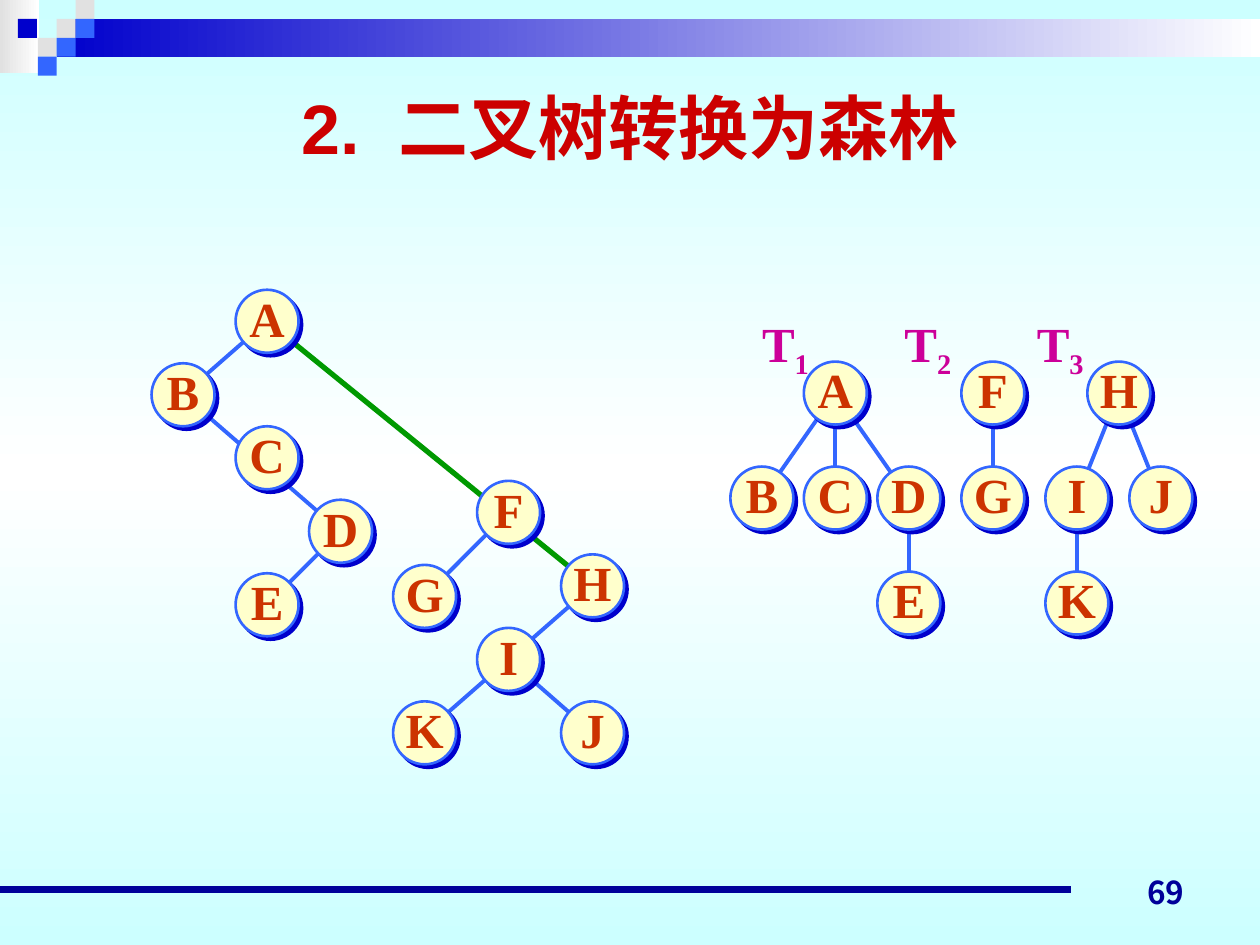
import copy
import math
import pptx
import pptx.util
import pptx.dml.color
import pptx.enum.shapes
import pptx.enum.text
import pptx.oxml.ns
import lxml.etree

Inches, Pt = pptx.util.Inches, pptx.util.Pt
Align, Anchor = pptx.enum.text.PP_ALIGN, pptx.enum.text.MSO_ANCHOR
Shape = pptx.enum.shapes.MSO_SHAPE
qn = pptx.oxml.ns.qn

WIDE, HIGH = 10, 7.5
CELL = 0.15        # side of a header square
UNIT = 1 / 12      # step of the tree grid
NODE = 6           # node width in grid steps
GAP = 2            # steps from a node's centre to a line's end

COLORS = {
    "sky": "CCFFFF", "white": "FFFFFF", "gray": "E1E1E1", "navy": "0000CC",
    "blue": "3366FF", "rule": "000099", "title": "CC0000", "node": "FFFFCC",
    "letter": "CC3300", "label": "CC0099", "green": "009900",
}
FONTS = {
    "title": {"name": "Arial", "size": Pt(40), "bold": True},
    "page": {"name": "Noto Sans CJK JP", "size": Pt(18), "bold": True},
    "letter": {"name": "Times New Roman", "size": Pt(28), "bold": True},
    "label": {"name": "Times New Roman", "size": Pt(28), "bold": True},
}

# Node centres as columns and rows from the root of each tree
BINARY = {
    "A": (0, 0), "B": (-8, 7), "C": (0, 13), "D": (7, 20), "E": (0, 27),
    "F": (23, 18.2), "G": (15, 26.2), "H": (31, 25.2), "I": (23, 32.2),
    "K": (15, 39.2), "J": (31, 39.2),
}
FOREST = {
    "A": (0, 0), "B": (-7, 10), "C": (0, 10), "D": (7, 10), "E": (7, 20),
    "F": (15, 0), "G": (15, 10), "H": (27, 0), "I": (23, 10), "J": (31, 10),
    "K": (23, 20),
}


def color(key):
    return pptx.dml.color.RGBColor.from_string(COLORS[key])


def style(font, key, ink):
    for name, value in FONTS[key].items():
        setattr(font, name, value)
    font.color.rgb = color(ink)


def frame(shape, **values):
    for name, value in values.items():
        setattr(shape.text_frame, name, value)


def fade(fill, keys, angle):
    fill.gradient()
    fill.gradient_angle = angle
    for stop, key, place in zip(fill.gradient_stops, keys, (0, 1)):
        stop.color.rgb = color(key)
        stop.position = place


def block(slide, kind, left, top, wide, high):
    shape = slide.shapes.add_shape(kind, *map(Inches, (left, top, wide, high)))
    shape.shadow.inherit = False
    return shape


def stroke(slide, start, end, key, width):
    line = slide.shapes.add_connector(
        pptx.enum.shapes.MSO_CONNECTOR.STRAIGHT, *map(Inches, (*start, *end)))
    line.line.color.rgb = color(key)
    line.line.width = Pt(width)
    lxml.etree.SubElement(line._element.spPr, qn("a:effectLst"))


def paint(slide):
    """Sky gradient behind the whole slide."""
    fill = slide.background.fill
    fade(fill, ("sky", "white"), 270)
    stops = slide._element.find(".//" + qn("a:gsLst"))
    stops.append(copy.deepcopy(stops[0]))
    for stop, place in zip(fill.gradient_stops, (0, 0.5, 1)):
        stop.position = place


def header(slide):
    """Faded bars and the checker squares at the top left."""
    bars = [((0, 0, 0.31, 0.58), "gray"),
            ((3 * CELL, CELL, WIDE - 3 * CELL, 2 * CELL), "navy")]
    for box, key in bars:
        bar = block(slide, Shape.RECTANGLE, *box)
        fade(bar.fill, (key, "white"), 0)
        bar.line.fill.background()
    squares = [(3, 1, "gray"), (4, 0, "gray"), (4, 1, "blue"), (2, 2, "gray"),
               (0.95, 1, "navy"), (3, 2, "blue"), (2, 3, "blue")]
    for col, row, key in squares:
        square = block(slide, Shape.RECTANGLE, col * CELL, row * CELL, CELL, CELL)
        square.fill.solid()
        square.fill.fore_color.rgb = color(key)
        square.line.fill.background()


def heading(slide, text, left, top, wide, high):
    title = slide.shapes.title
    box = {"left": left, "top": top, "width": wide, "height": high}
    for name, value in box.items():
        setattr(title, name, Inches(value))
    frame(title, text=text, vertical_anchor=Anchor.MIDDLE)
    para = title.text_frame.paragraphs[0]
    para.alignment = Align.CENTER
    style(para.font, "title", "title")


def footer(slide, page):
    """Rule and page number."""
    stroke(slide, (0, 7.06), (0.85 * WIDE, 7.06), "rule", 4.5)
    box = slide.shapes.add_textbox(*map(Inches, (7.17, 6.78, 2.33, 0.5)))
    frame(box, text=page, word_wrap=True, vertical_anchor=Anchor.BOTTOM)
    para = box.text_frame.paragraphs[0]
    para.alignment = Align.RIGHT
    style(para.font, "page", "rule")


def node(slide, letter, x, y):
    side = NODE * UNIT
    disc = block(slide, Shape.OVAL, x - side / 2, y - side / 2, side, side)
    disc.fill.solid()
    disc.fill.fore_color.rgb = color("node")
    disc.line.color.rgb = color("blue")
    disc.line.width = Pt(1.5)
    # Hard shadow to the lower right
    cast = lxml.etree.SubElement(
        disc._element.spPr.find(qn("a:effectLst")), qn("a:outerShdw"),
        blurRad="0", dist=str(int(Pt(2.8))), dir="2700000", algn="ctr", rotWithShape="0")
    lxml.etree.SubElement(cast, qn("a:srgbClr"), val=COLORS["navy"])
    # The letter sits a little above the centre
    frame(disc, text=letter, word_wrap=False, vertical_anchor=Anchor.MIDDLE,
          margin_left=0, margin_right=0, margin_top=0, margin_bottom=Inches(0.06))
    para = disc.text_frame.paragraphs[0]
    para.alignment = Align.CENTER
    style(para.font, "letter", "letter")


def tree(slide, left, top, nodes, edges, long=()):
    """Nodes around a root at left, top; long edges are green."""
    spots = {key: (left + col * UNIT, top + row * UNIT)
             for key, (col, row) in nodes.items()}
    for edge in (*long, *edges):
        (x1, y1), (x2, y2) = (spots[key] for key in edge)
        part = GAP * UNIT / math.hypot(x2 - x1, y2 - y1)
        dx, dy = part * (x2 - x1), part * (y2 - y1)
        look = ("green", 3) if edge in long else ("blue", 2.25)
        stroke(slide, (x1 + dx, y1 + dy), (x2 - dx, y2 - dy), *look)
    for key, spot in spots.items():
        node(slide, key, *spot)


def labels(slide, top, lefts):
    """T with a lowered number over each tree of the forest."""
    for count, left in enumerate(lefts, 1):
        box = slide.shapes.add_textbox(*map(Inches, (left, top, 0.58, 0.57)))
        frame(box, word_wrap=False, vertical_anchor=Anchor.MIDDLE)
        para = box.text_frame.paragraphs[0]
        for text in ("T", str(count)):
            run = para.add_run()
            run.text = text
            style(run.font, "label", "label")
        run.font._element.set("baseline", "-25000")


def main():
    deck = pptx.Presentation()
    deck.slide_width, deck.slide_height = Inches(WIDE), Inches(HIGH)
    slide = deck.slides.add_slide(deck.slide_layouts[5])
    paint(slide)
    header(slide)
    footer(slide, "69")
    heading(slide, "2.  二叉树转换为森林", 0.5, 0.5, 9, 1.01)
    tree(slide, 6.63, 3.12, FOREST,
         ("AB", "AC", "AD", "DE", "FG", "HI", "HJ", "IK"))
    labels(slide, 2.47, (5.95, 7.08, 8.13))
    tree(slide, 2.12, 2.55, BINARY,
         ("AB", "BD", "DE", "FG", "HK", "IJ"), long=("AH",))
    deck.save("out.pptx")


if __name__ == "__main__":
    main()
